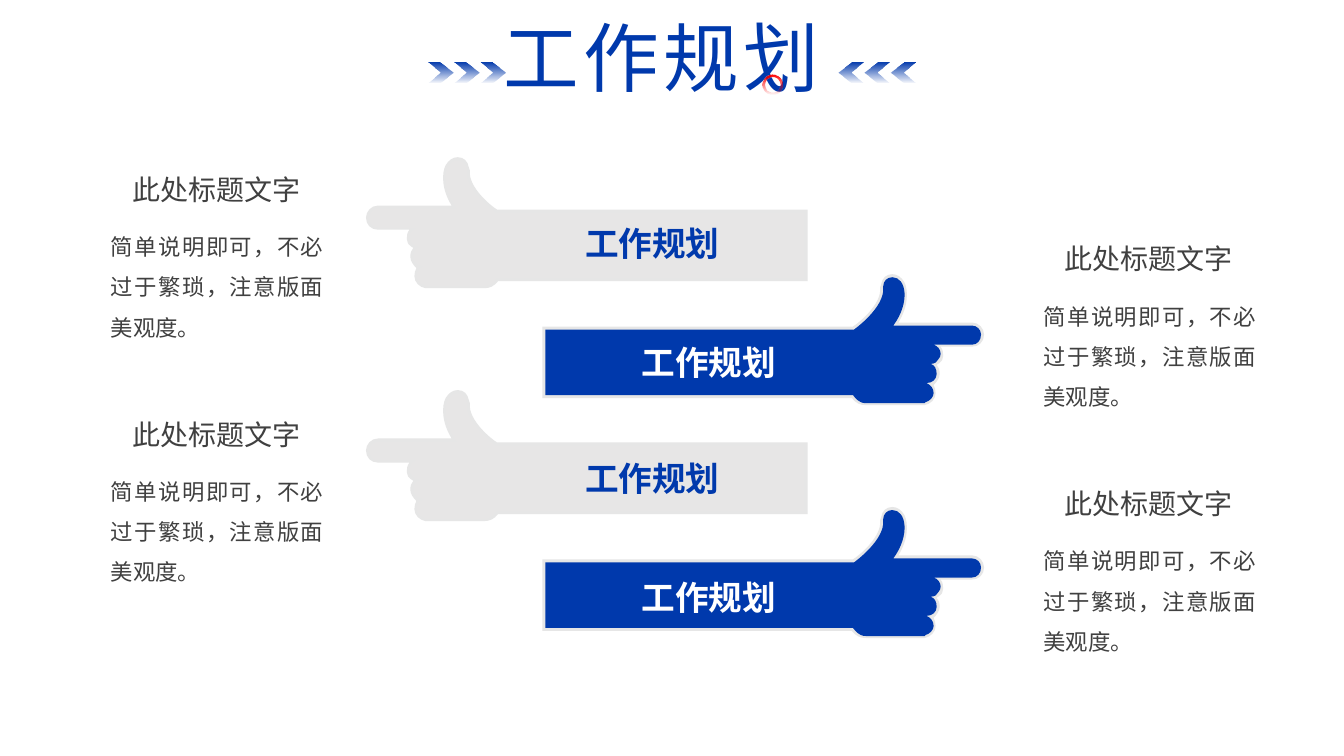
import pptx
import pptx.dml.color
import pptx.enum.shapes
import pptx.enum.text
import pptx.oxml
import pptx.oxml.ns
import pptx.util

Inches = pptx.util.Inches
ALIGN = pptx.enum.text.PP_ALIGN
ANCHOR = pptx.enum.text.MSO_ANCHOR
GROW = pptx.enum.text.MSO_AUTO_SIZE.SHAPE_TO_FIT_TEXT
SPACE = pptx.oxml.ns.nsdecls("a")

BLUE, NAVY, GREY, PALE = "0039AC", "042656", "E6E6E6", "E7E6E6"
RED, WHITE, DARK = "FF0000", "FFFFFF", "404040"
WIDE = 13.33
FLIP = 13.39  # sum of x for a left hand point and its right hand twin

# Outlines of the left hand: a pair is a line end, six numbers are a curve
RIM = [
    (4.22, 2.86), (4.16, 2.85, 4.11, 2.8, 4.11, 2.74),
    (4.11, 2.71, 4.12, 2.68, 4.13, 2.66), (4.1, 2.63, 4.07, 2.59, 4.07, 2.55),
    (4.07, 2.51, 4.08, 2.48, 4.1, 2.46), (4.08, 2.45, 4.07, 2.44, 4.05, 2.42),
    (4.05, 2.42, 4.01, 2.35, 4.06, 2.28), (3.75, 2.28),
    (3.68, 2.28, 3.63, 2.23, 3.63, 2.16), (3.63, 2.1, 3.68, 2.04, 3.75, 2.04),
    (4.48, 2.04), (4.38, 1.88, 4.38, 1.72, 4.42, 1.64),
    (4.45, 1.59, 4.49, 1.56, 4.54, 1.56), (4.6, 1.56, 4.64, 1.6, 4.65, 1.66),
    (4.66, 1.69), (4.64, 1.86, 4.88, 2.05, 4.93, 2.08),
    (8.01, 2.08), (8.01, 2.79), (4.94, 2.79),
    (4.9, 2.84, 4.86, 2.86, 4.8, 2.86),
]
CORE = [
    (4.92, 2.11), (4.92, 2.11, 4.61, 1.89, 4.63, 1.69), (4.63, 1.68),
    (4.63, 1.63, 4.59, 1.59, 4.54, 1.59), (4.4, 1.59, 4.36, 1.84, 4.53, 2.07),
    (3.75, 2.07), (3.7, 2.07, 3.66, 2.11, 3.66, 2.16),
    (3.66, 2.22, 3.7, 2.26, 3.75, 2.26), (4.13, 2.26),
    (4.09, 2.27, 4.06, 2.31, 4.06, 2.35), (4.06, 2.37, 4.07, 2.39, 4.08, 2.4),
    (4.09, 2.43, 4.12, 2.45, 4.16, 2.45), (4.12, 2.46, 4.1, 2.5, 4.1, 2.55),
    (4.1, 2.6, 4.14, 2.64, 4.2, 2.64), (4.16, 2.66, 4.13, 2.69, 4.13, 2.74),
    (4.13, 2.78, 4.17, 2.82, 4.21, 2.83), (4.22, 2.84), (4.8, 2.84),
    (4.88, 2.84, 4.91, 2.78, 4.93, 2.76), (7.98, 2.76), (7.98, 2.11),
]
ARROW = [(0, 0.62), (0.12, 0.62), (0.25, 0.72), (0.12, 0.82), (0, 0.82), (0.12, 0.72)]

# Text formats
TITLE = dict(frame=dict(word_wrap=False, auto_size=GROW, vertical_anchor=ANCHOR.TOP),
             para=dict(alignment=ALIGN.CENTER),
             font=dict(size=pptx.util.Pt(54), name="Noto Sans CJK SC"))
BARE = dict(margin_left=0, margin_right=0, margin_top=0, margin_bottom=0, auto_size=GROW)
LABEL = dict(frame=dict(BARE, word_wrap=True, vertical_anchor=ANCHOR.MIDDLE),
             para=dict(alignment=ALIGN.CENTER, space_after=pptx.util.Pt(12)),
             font=dict(size=pptx.util.Pt(24), name="Arial", bold=True))
HEAD = dict(frame=dict(BARE, word_wrap=False),
            para=dict(alignment=ALIGN.JUSTIFY),
            font=dict(size=pptx.util.Pt(20), name="Arial"))
BODY = dict(frame=dict(BARE, word_wrap=True),
            para=dict(alignment=ALIGN.JUSTIFY, line_spacing=1.5),
            font=dict(size=pptx.util.Pt(16), name="Arial"))


def rgb(code):
    return pptx.dml.color.RGBColor.from_string(code)


def put(item, vals):
    for key, val in vals.items():
        setattr(item, key, val)


def paint(fill, code):
    fill.solid()
    fill.fore_color.rgb = rgb(code)


def fade(fill, top, low, clear=False):
    """Fill from top to bottom; clear makes the lower stop transparent."""
    fill.gradient()
    fill.gradient_angle = 270
    for stop, code in zip(fill.gradient_stops, (top, low)):
        stop.color.rgb = rgb(code)
    if clear:
        node = fill._xPr.findall(".//" + pptx.oxml.ns.qn("a:srgbClr"))[-1]
        node.append(pptx.oxml.parse_xml(f'<a:alpha {SPACE} val="0"/>'))


def plain(shape):
    shape.shadow.inherit = False
    shape.line.fill.background()


def write(shape, text, style):
    frame = shape.text_frame
    put(frame, style["frame"])
    para = frame.paragraphs[0]
    put(para, style["para"])
    run = para.add_run()
    run.text = text
    put(run.font, style["font"])
    return run


def note(slide, box, text, style, code):
    shape = slide.shapes.add_textbox(*map(Inches, box))
    paint(write(shape, text, style).font.fill, code)


def pairs(step):
    return list(zip(step[::2], step[1::2]))


def bend(shape, steps):
    """Change the lines that stand for curves into curves."""
    lines = list(shape._element.iter(pptx.oxml.ns.qn("a:lnTo")))
    for line, step in zip(lines, steps[1:]):
        if len(step) == 6:
            pts = "".join(f'<a:pt x="{Inches(x) - shape.left}" y="{Inches(y) - shape.top}"/>'
                          for x, y in pairs(step))
            curve = pptx.oxml.parse_xml(f"<a:cubicBezTo {SPACE}>{pts}</a:cubicBezTo>")
            line.getparent().replace(line, curve)


def draw(slide, loops):
    build = None
    for loop in loops:
        pts = [(Inches(x), Inches(y)) for x, y in loop]
        if build is None:
            build = slide.shapes.build_freeform(*pts[0], scale=1.0)
        else:
            build.move_to(*pts[0])
        build.add_line_segments(pts[1:], close=True)
    shape = build.convert_to_shape()
    plain(shape)
    return shape


def hand(slide, right, drop):
    for steps, code in ((RIM, GREY), (CORE, BLUE if right else PALE)):
        moved = [sum(((FLIP - x, y + 1.16 + drop) if right else (x, y + drop)
                      for x, y in pairs(step)), ()) for step in steps]
        shape = draw(slide, [[step[-2:] for step in moved]])
        bend(shape, moved)
        paint(shape.fill, code)


def chevrons(slide, right):
    loops = [[(4.25 + 0.255 * i + x, y) for x, y in ARROW] for i in range(3)]
    if right:
        loops = [[(WIDE - x, y) for x, y in loop] for loop in loops]
    fade(draw(slide, loops).fill, BLUE, BLUE, clear=True)


def title(slide):
    shape = slide.shapes.title
    put(shape, dict(zip(("left", "top", "width", "height"),
                        map(Inches, (4.86, 0.06, 3.4, 1.01)))))
    run = write(shape, "工作规划", TITLE)
    fade(run.font.fill, BLUE, NAVY)
    props = run.font._element
    props.set("spc", "300")
    props.append(pptx.oxml.parse_xml(f'<a:ea {SPACE} typeface="Noto Sans CJK SC"/>'))


def ring(slide):
    shape = slide.shapes.add_shape(pptx.enum.shapes.MSO_SHAPE.DONUT,
                                   *map(Inches, (7.56, 0.74, 0.2, 0.2)))
    shape.adjustments[0] = 0.133
    plain(shape)
    fade(shape.fill, RED, RED, clear=True)


def main():
    deck = pptx.Presentation()
    put(deck, dict(slide_width=Inches(WIDE), slide_height=Inches(7.5)))
    slide = deck.slides.add_slide(deck.slide_layouts[5])

    # Title band
    title(slide)
    ring(slide)
    for right in (False, True):
        chevrons(slide, right)

    # Pointing hands, then their labels
    spots = [(row, right) for row in (0, 1) for right in (False, True)]
    for row, right in spots:
        hand(slide, right, 2.31 * row)
    for row, right in spots:
        x, y, code = (5.82, 3.39, WHITE) if right else (5.26, 2.21, BLUE)
        note(slide, (x, y + 2.33 * row, 2.42, 0.4), "工作规划", LABEL, code)

    # Notes at both sides
    for row, right in spots:
        x, y = (10.35, 2.4) if right else (1.1, 1.71)
        y += 2.43 * row
        note(slide, (x + 0.21, y, 1.68, 0.34), "此处标题文字", HEAD, DARK)
        note(slide, (x, y + 0.47, 2.11, 1.16),
             "简单说明即可，不必过于繁琐，注意版面美观度。", BODY, DARK)

    deck.save("out.pptx")


if __name__ == "__main__":
    main()
